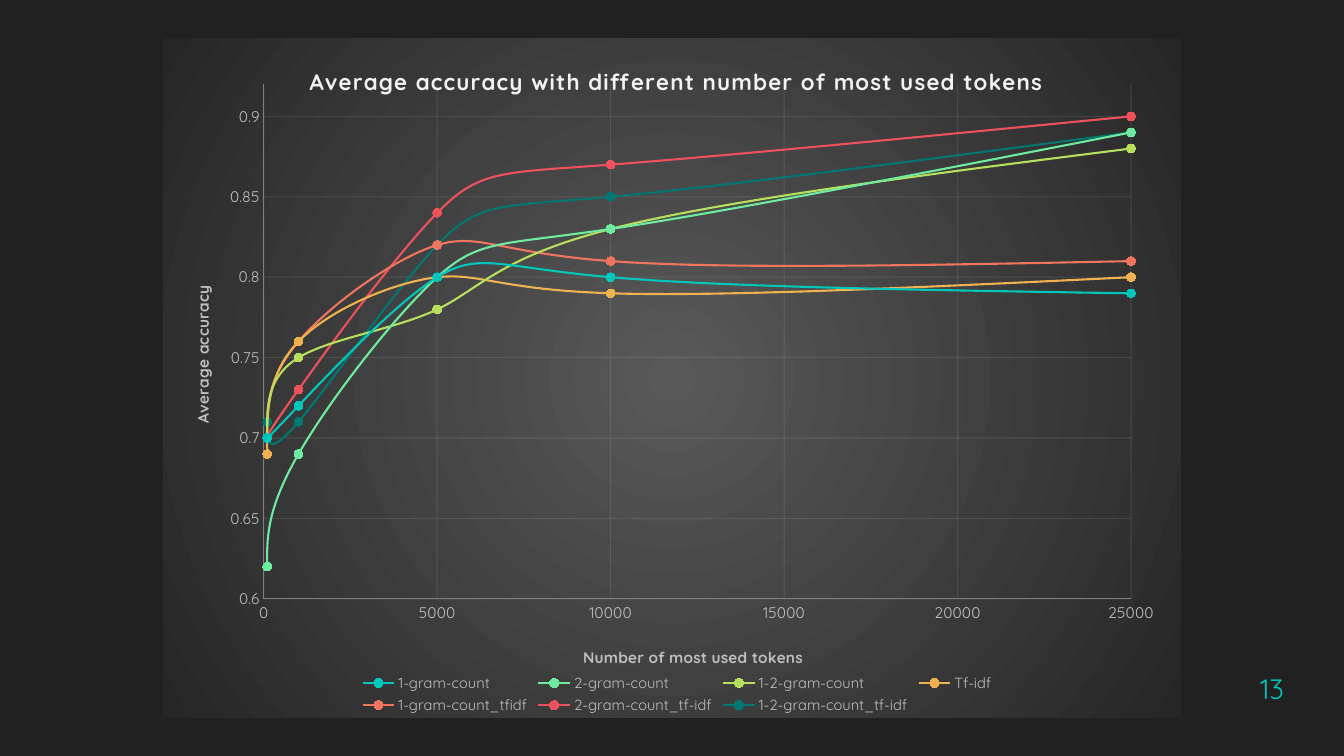
from lxml import etree
from pptx import Presentation
from pptx.chart.data import XyChartData
from pptx.dml.color import RGBColor
from pptx.enum.chart import XL_CHART_TYPE, XL_LEGEND_POSITION, XL_MARKER_STYLE, XL_TICK_MARK
from pptx.enum.text import MSO_ANCHOR, PP_ALIGN
from pptx.oxml import parse_xml
from pptx.oxml.ns import nsdecls, qn
from pptx.util import Pt

SMOOTH_SCATTER = XL_CHART_TYPE.XY_SCATTER_SMOOTH
LEGEND_BOTTOM = XL_LEGEND_POSITION.BOTTOM
CIRCLE = XL_MARKER_STYLE.CIRCLE
NO_TICK = XL_TICK_MARK.NONE
RIGHT, BOTTOM = PP_ALIGN.RIGHT, MSO_ANCHOR.BOTTOM

PX = 914400 / 100.8
FONT = "Quicksand"
GREY, TEAL = "BFBFBF", "00C6BB"
CHART_BOX = (163, 38, 1018, 680)
NUMBER_BOX = (1177, 652, 117, 54)

TOKENS = [100, 1000, 5000, 10000, 25000]
# name, line colour, marker colour, average accuracy per token count
SERIES = [
    ("1-gram-count", TEAL, TEAL, [0.7, 0.72, 0.8, 0.8, 0.79]),
    ("2-gram-count", "6FEBA0", "69F19F", [0.62, 0.69, 0.8, 0.83, 0.89]),
    ("1-2-gram-count", "B6DF5E", "B8E558", [0.7, 0.75, 0.78, 0.83, 0.88]),
    ("Tf-idf", "EFB251", "F7B449", [0.69, 0.76, 0.8, 0.79, 0.8]),
    ("1-gram-count_tfidf", "EF755F", "F67058", [0.7, 0.76, 0.82, 0.81, 0.81]),
    ("2-gram-count_tf-idf", "ED515C", "F54955", [0.7, 0.73, 0.84, 0.87, 0.9]),
    ("1-2-gram-count_tf-idf", "007770", "007770", [0.71, 0.71, 0.82, 0.85, 0.89]),
]


def px(length):
    return round(length * PX)


def color(value):
    return RGBColor.from_string(value)


def style_font(font, size, value, bold=False):
    font.name = FONT
    font.size = Pt(size)
    font.bold = bold
    font.color.rgb = color(value)


def style_line(line, value, width):
    line.color.rgb = color(value)
    line.width = Pt(width)


def set_layout(element, index, **fractions):
    """Give a chart part a manual layout, in fractions of the chart."""
    for old in element.findall(qn("c:layout")):
        element.remove(old)
    layout = etree.Element(qn("c:layout"))
    manual = etree.SubElement(layout, qn("c:manualLayout"))
    if "w" in fractions and index == 0:
        etree.SubElement(manual, qn("c:layoutTarget")).set("val", "inner")
    for mode in ("xMode", "yMode"):
        etree.SubElement(manual, qn(f"c:{mode}")).set("val", "edge")
    for key, value in fractions.items():
        etree.SubElement(manual, qn(f"c:{key}")).set("val", str(value))
    element.insert(index, layout)


def add_title(owner, title, text, size, value, x, y):
    """Write and place the title of a chart or an axis."""
    owner.has_title = True
    para = title.text_frame.paragraphs[0]
    para.text = text
    style_font(para.font, size, value, bold=True)
    set_layout(title._element, 1, x=x, y=y)
    return para


def style_axis(axis, low, high, step):
    axis.minimum_scale, axis.maximum_scale, axis.major_unit = low, high, step
    axis.major_tick_mark = axis.minor_tick_mark = NO_TICK
    style_font(axis.tick_labels.font, 11, GREY)
    axis.tick_labels.number_format = "General"
    axis.tick_labels.number_format_is_linked = False
    style_line(axis.format.line, "808080", 0.75)
    axis.has_major_gridlines = True
    grid = axis.major_gridlines.format.line
    style_line(grid, "F2F2F2", 0.75)
    for shade in axis.major_gridlines._xAx.xpath("c:majorGridlines//a:srgbClr"):
        etree.SubElement(shade, qn("a:alpha")).set("val", "10000")


def fill_radial(chart, inner, outer):
    """Fill the chart area with a gradient from its centre."""
    area = parse_xml(
        f'<c:spPr {nsdecls("c", "a")}><a:gradFill><a:gsLst>'
        f'<a:gs pos="0"><a:srgbClr val="{inner}"/></a:gs>'
        f'<a:gs pos="100000"><a:srgbClr val="{outer}"/></a:gs></a:gsLst>'
        '<a:path path="circle"><a:fillToRect l="50000" t="50000" r="50000" b="50000"/>'
        '</a:path></a:gradFill><a:ln><a:noFill/></a:ln></c:spPr>')
    chart._chartSpace.find(qn("c:chart")).addnext(area)


def add_accuracy_chart(page, box):
    data = XyChartData()
    for name, _, _, accuracies in SERIES:
        points = data.add_series(name)
        for tokens, accuracy in zip(TOKENS, accuracies):
            points.add_data_point(tokens, accuracy)
    chart = page.shapes.add_chart(SMOOTH_SCATTER, *map(px, box), data).chart
    style_font(chart.font, 10, "FFFFFF")
    fill_radial(chart, "595959", "262626")

    heading = add_title(chart, chart.chart_title,
                        "Average accuracy with different number of most used tokens",
                        16, "F2F2F2", 0.14, 0.035)
    heading.font._element.set("spc", "100")
    across, up = chart.category_axis, chart.value_axis
    style_axis(across, 0, 25000, 5000)
    style_axis(up, 0.6, 0.92, 0.05)
    add_title(across, across.axis_title, "Number of most used tokens", 11, GREY, 0.41, 0.89)
    add_title(up, up.axis_title, "Average accuracy", 11, GREY, 0.025, 0.36)

    chart.has_legend = True
    chart.legend.position = LEGEND_BOTTOM
    chart.legend.include_in_layout = False
    style_font(chart.legend.font, 10.5, GREY)
    set_layout(chart.legend._element, 1, x=0.19, y=0.93, w=0.63, h=0.07)
    plot = chart.plots[0]
    plot.vary_by_categories = False
    set_layout(chart._chartSpace.chart.plotArea, 0, x=0.099, y=0.068, w=0.852, h=0.757)

    for series, (_, line, dot, _) in zip(plot.series, SERIES):
        series._element.get_or_add_smooth().val = True
        style_line(series.format.line, line, 1.5)
        marker = series.marker
        marker.style, marker.size = CIRCLE, 6
        marker.format.fill.solid()
        marker.format.fill.fore_color.rgb = color(dot)
        style_line(marker.format.line, dot, 0.75)


def add_page_number(page, box, number):
    frame = page.shapes.add_textbox(*map(px, box)).text_frame
    frame.word_wrap = True
    frame.vertical_anchor = BOTTOM
    frame.margin_bottom = px(1)
    para = frame.paragraphs[0]
    para.text = number
    para.alignment = RIGHT
    style_font(para.font, 20, TEAL)


def main():
    deck = Presentation()
    deck.slide_width, deck.slide_height = px(1344), px(756)
    page = deck.slides.add_slide(deck.slide_layouts[6])
    page.background.fill.solid()
    page.background.fill.fore_color.rgb = color("212121")
    add_page_number(page, NUMBER_BOX, "13")
    add_accuracy_chart(page, CHART_BOX)
    deck.save("out.pptx")


if __name__ == "__main__":
    main()
